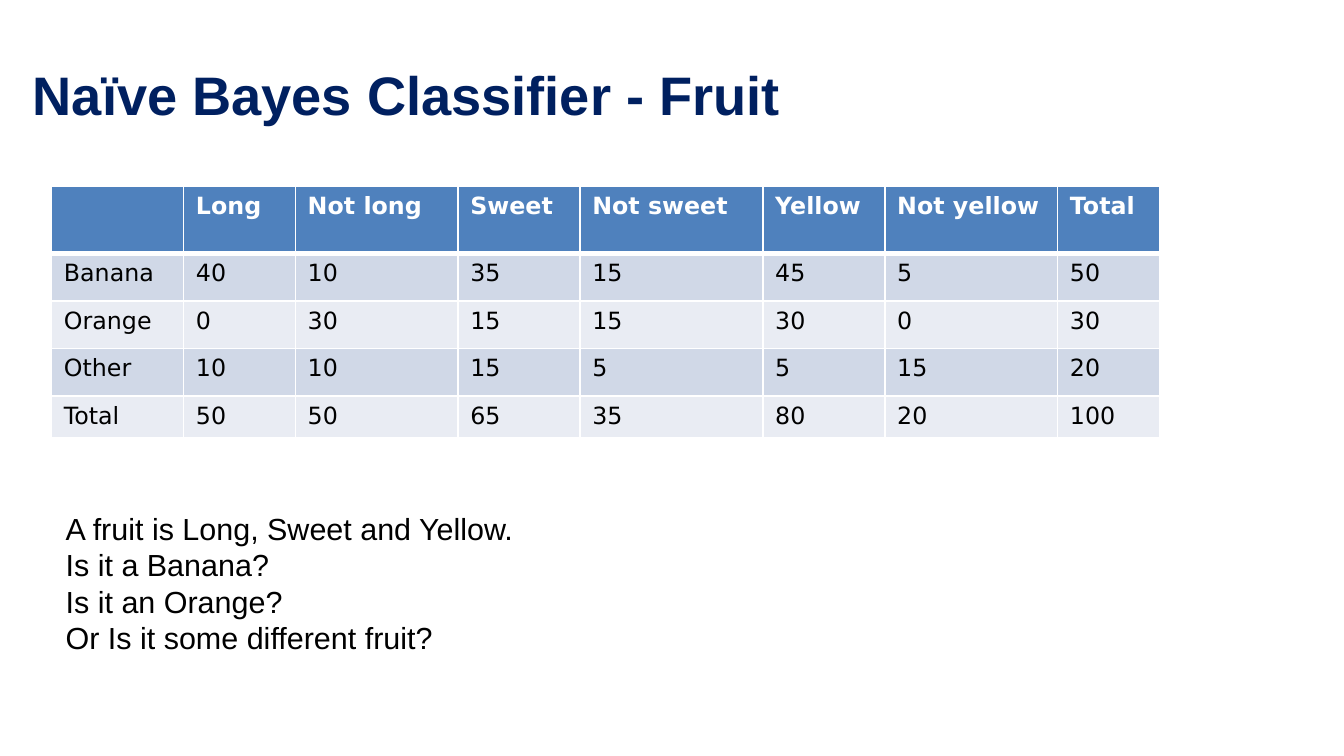
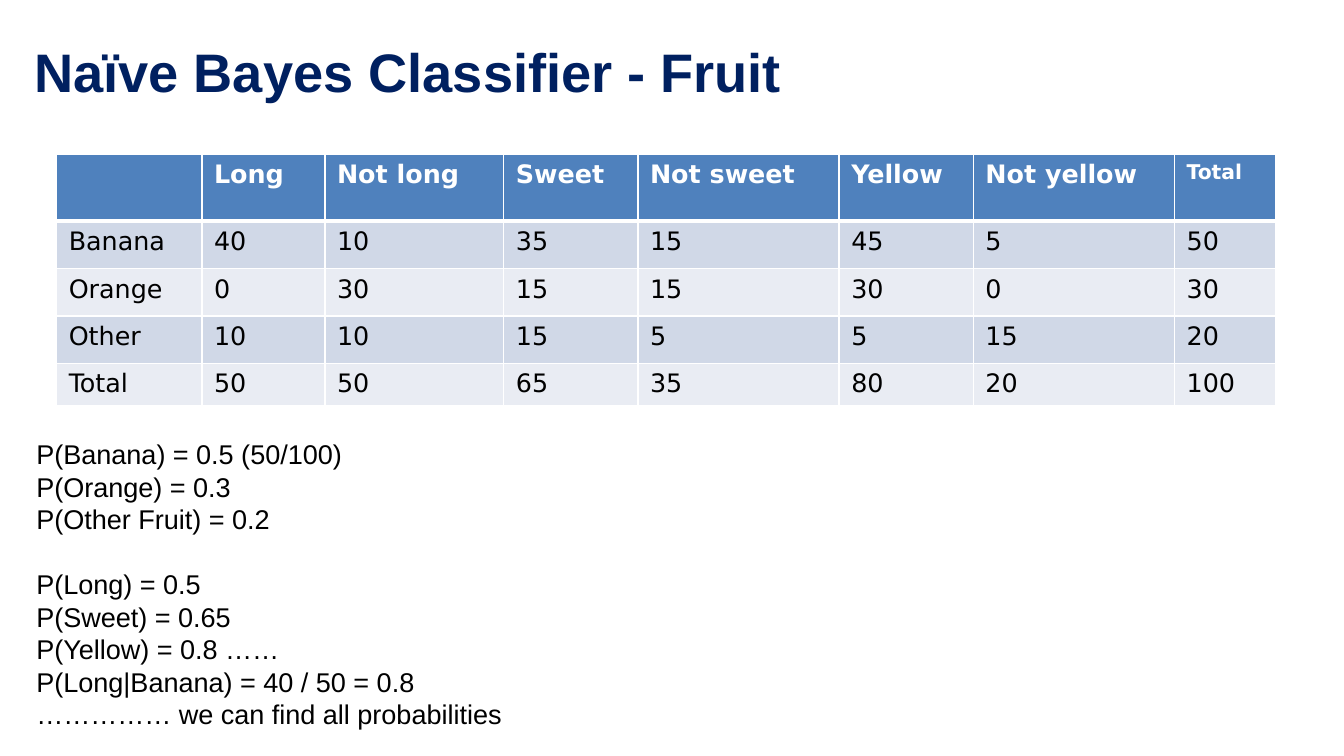
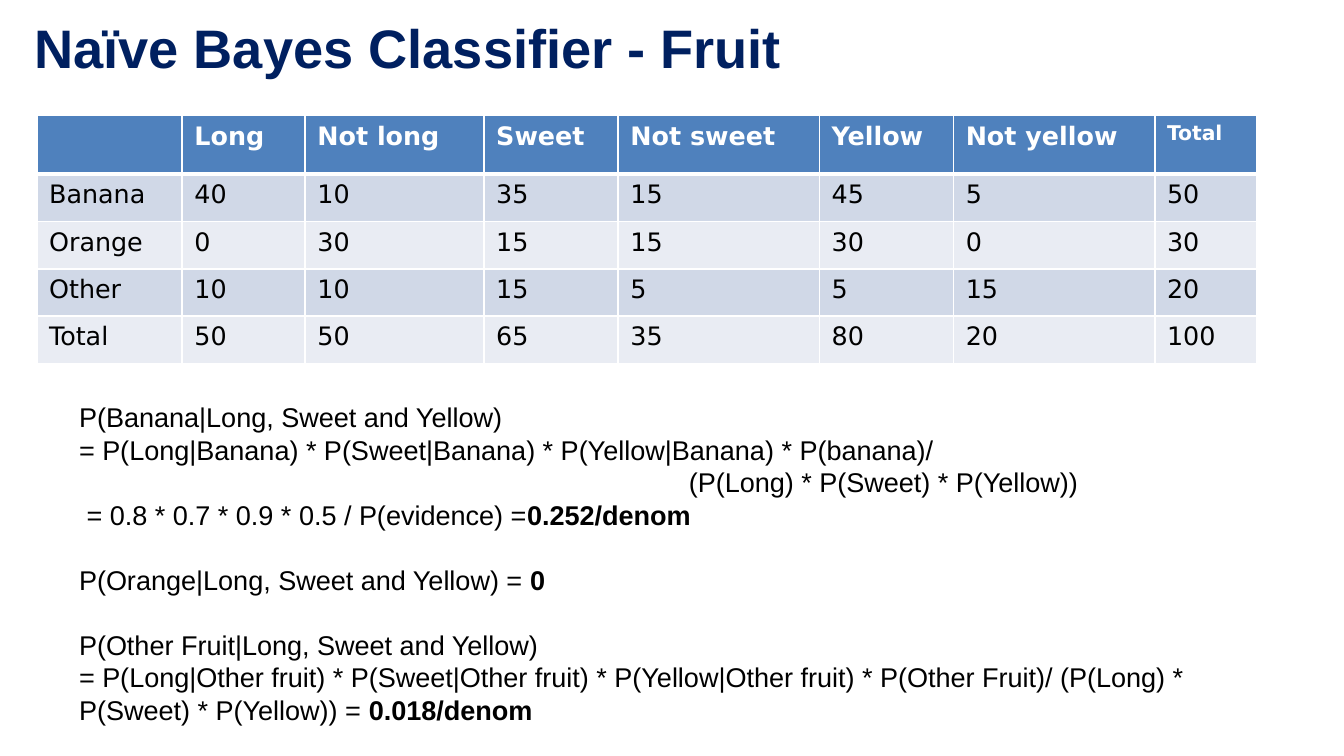
from lxml import etree
from pptx import Presentation
from pptx.dml.color import RGBColor
from pptx.enum import text as t
from pptx.oxml.ns import qn
from pptx.util import Pt

HUES = {"title": "002060", "head": "4F81BD", "odd": "D0D8E7",
        "even": "E9ECF3", "rule": "FFFFFF", "ink": "000000"}
TITLE = "Naïve Bayes Classifier - Fruit"
FRUIT = [
    ["", "Long", "Not long", "Sweet", "Not sweet", "Yellow", "Not yellow", "Total"],
    ["Banana", 40, 10, 35, 15, 45, 5, 50],
    ["Orange", 0, 30, 15, 15, 30, 0, 30],
    ["Other", 10, 10, 15, 5, 5, 15, 20],
    ["Total", 50, 50, 65, 35, 80, 20, 100],
]
SMALL = [78, 66, 96, 72, 108, 72, 102, 60]
LARGE = [85.8, 72.6, 105.6, 79.2, 118.8, 79.2, 118.8, 60]


def hue(name):
    return RGBColor.from_string(HUES[name])


def add_run(para, words, size, color="ink", bold=False, face="Arial"):
    run = para.add_run()
    run.text = words
    font = run.font
    font.name, font.size, font.bold = face, Pt(size), bold
    font.color.rgb = hue(color)


def add_title(slide, left, top, width, height):
    box = slide.shapes.title
    box.left, box.top, box.width, box.height = map(Pt, (left, top, width, height))
    frame = box.text_frame
    frame.vertical_anchor = t.MSO_ANCHOR.BOTTOM
    frame.auto_size = t.MSO_AUTO_SIZE.NONE
    para = frame.paragraphs[0]
    para.alignment = t.PP_ALIGN.LEFT
    add_run(para, TITLE, 32, "title", True)


def add_edges(cell, **widths):
    """Draw the cell's borders; L, R, T and B take other widths by name."""
    props = cell._tc.get_or_add_tcPr()
    for side in "LRTB":
        line = etree.SubElement(props, qn("a:ln" + side),
                                w=str(Pt(widths.get(side, 0.96))))
        fill = etree.SubElement(line, qn("a:solidFill"))
        etree.SubElement(fill, qn("a:srgbClr"), val=HUES["rule"])


def add_grid(slide, left, top, cols, rows, size, last):
    """Add the fruit table; last is the text size of the final heading."""
    shape = slide.shapes.add_table(len(rows), len(cols), Pt(left), Pt(top),
                                   Pt(sum(cols)), Pt(sum(rows)))
    grid = shape.table
    grid.horz_banding = False
    for col, width in zip(grid.columns, cols):
        col.width = Pt(width)
    for row, height in zip(grid.rows, rows):
        row.height = Pt(height)
    for r, values in enumerate(FRUIT):
        head = r == 0
        fill = "head" if head else "odd" if r % 2 else "even"
        edges = {0: {"B": 3}, 1: {"T": 3}}.get(r, {})
        for c, value in enumerate(values):
            cell = grid.cell(r, c)
            add_edges(cell, **edges)
            cell.fill.solid()
            cell.fill.fore_color.rgb = hue(fill)
            if value == "":
                continue
            pts = last if head and c == len(cols) - 1 else size
            add_run(cell.text_frame.paragraphs[0], str(value), pts,
                    "rule" if head else "ink", head, "DejaVu Sans")


def add_text(slide, left, top, width, height, size, lines):
    """Each line is (words, bold ending, lines of gap above, indent)."""
    box = slide.shapes.add_textbox(*map(Pt, (left, top, width, height)))
    frame = box.text_frame
    frame.word_wrap = True
    pitch = 1.2 * size
    for i, (words, strong, gap, indent) in enumerate(lines):
        para = frame.add_paragraph() if i else frame.paragraphs[0]
        para.line_spacing = Pt(pitch)
        if gap:
            para.space_before = Pt(gap * pitch)
        if indent:
            para._p.get_or_add_pPr().set("marL", str(Pt(indent)))
        add_run(para, words, size)
        if strong:
            add_run(para, strong, size, bold=True)


def line(words, strong="", gap=0, indent=0):
    return words, strong, gap, indent


def add_query(slide):
    add_title(slide, 12.2, 12.2, 514, 66.2)
    add_grid(slide, 30.5, 110.2, SMALL, [39.6, 28, 28, 28, 24.5], 14, 14)
    add_text(slide, 31.7, 297.4, 408, 93.6, 18, [
        line("A fruit is Long, Sweet and Yellow."),
        line("Is it a Banana?"),
        line("Is it an Orange?"),
        line("Or Is it some different fruit?"),
    ])


def add_priors(slide):
    add_title(slide, 13, 10, 566.6, 54.7)
    add_grid(slide, 33.4, 91, LARGE, [39.6, 28, 28, 28, 25.2], 15, 12)
    add_text(slide, 14.4, 254.9, 714, 218, 16, [
        line("P(Banana) = 0.5 (50/100)"),
        line("P(Orange) = 0.3"),
        line("P(Other Fruit) = 0.2"),
        line("P(Long) = 0.5", gap=1),
        line("P(Sweet) = 0.65"),
        line("P(Yellow) = 0.8 ……"),
        line("P(Long|Banana) = 40 / 50 = 0.8"),
        line("…………… we can find all probabilities"),
    ])


def add_answer(slide):
    add_title(slide, 13, -4.3, 566.6, 54.7)
    add_grid(slide, 21.8, 68.2, LARGE, [34.6, 28, 28, 28, 28], 15, 12)
    add_text(slide, 39.6, 233, 714, 237.6, 16, [
        line("P(Banana|Long, Sweet and Yellow)"),
        line("= P(Long|Banana) * P(Sweet|Banana) * P(Yellow|Banana) * P(banana)/"),
        line("(P(Long) * P(Sweet) * P(Yellow))", indent=360),
        line("= 0.8 * 0.7 * 0.9 * 0.5 / P(evidence) =", "0.252/denom", indent=4.5),
        line("P(Orange|Long, Sweet and Yellow) = ", "0", gap=1),
        line("P(Other Fruit|Long, Sweet and Yellow)", gap=1),
        line("= P(Long|Other fruit) * P(Sweet|Other fruit) * P(Yellow|Other fruit)"
             " * P(Other Fruit)/ (P(Long) * P(Sweet) * P(Yellow)) = ", "0.018/denom"),
    ])


def main():
    deck = Presentation()
    deck.slide_width, deck.slide_height = Pt(793.44), Pt(446.4)
    for build in (add_query, add_priors, add_answer):
        build(deck.slides.add_slide(deck.slide_layouts[5]))
    deck.save("out.pptx")


if __name__ == "__main__":
    main()
